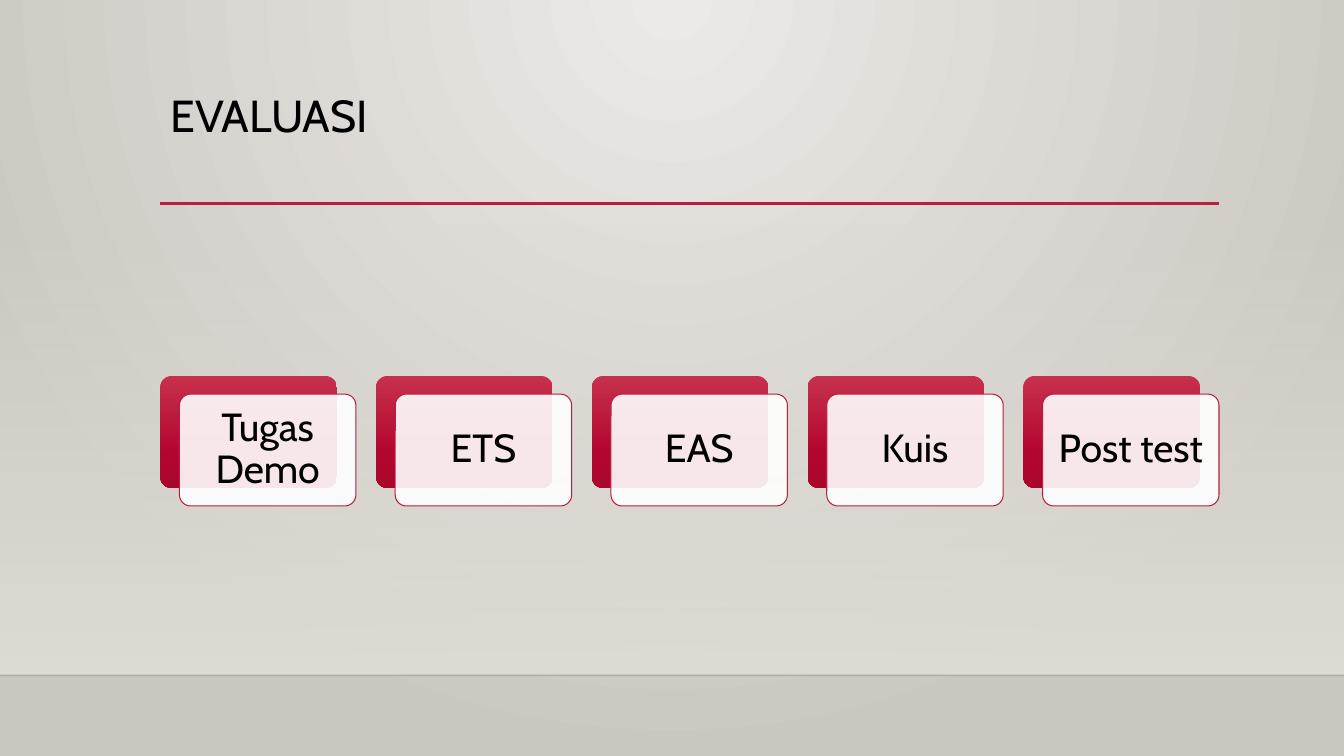
"""Build the evaluation slide: a title above a row of five layered cards."""
from dataclasses import dataclass

from lxml.etree import SubElement
from pptx import Presentation
from pptx.dml.color import RGBColor
from pptx.enum.shapes import MSO_CONNECTOR, MSO_SHAPE
from pptx.enum.text import MSO_ANCHOR, PP_ALIGN
from pptx.oxml.ns import qn
from pptx.util import Inches, Pt

FONT = "Cabin"
BLACK = RGBColor(0x00, 0x00, 0x00)
WHITE = RGBColor(0xFF, 0xFF, 0xFF)
CRIMSON = RGBColor(0xB7, 0x1E, 0x42)
CRIMSON_TOP = RGBColor(0xC7, 0x30, 0x4C)
CRIMSON_MIDDLE = RGBColor(0xB3, 0x06, 0x2F)
CRIMSON_BOTTOM = RGBColor(0xAA, 0x06, 0x2C)
WALL_LIGHT = RGBColor(0xEC, 0xEA, 0xE7)
WALL_DARK = RGBColor(0xCA, 0xC7, 0xC1)
HAZE = RGBColor(0xDF, 0xDB, 0xD5)

SLIDE_WIDTH, SLIDE_HEIGHT = 13.33, 7.5
CONTENT_LEFT, CONTENT_WIDTH = 1.59, 10.5
FLOOR_TOP = 6.7
CARD_TOP, CARD_WIDTH, CARD_HEIGHT = 3.73, 1.75, 1.11
OFFSET_X, OFFSET_Y = 0.19, 0.18
LABELS = ["Tugas Demo", "ETS", "EAS", "Kuis", "Post test"]
COLUMN_STEP = (CONTENT_WIDTH - CARD_WIDTH - OFFSET_X) / (len(LABELS) - 1)


@dataclass(frozen=True)
class Box:
    left: float
    top: float
    width: float
    height: float

    def lengths(self) -> list:
        return [Inches(value) for value in (self.left, self.top, self.width, self.height)]


@dataclass(frozen=True)
class Stop:
    position: int
    color: RGBColor
    opacity: int = 100


@dataclass(frozen=True)
class Rule:
    left: float
    right: float
    top: float
    color: RGBColor
    weight: float
    opacity: int = 100


CARD_STOPS = [Stop(0, CRIMSON_TOP), Stop(69, CRIMSON_MIDDLE), Stop(100, CRIMSON_BOTTOM)]
RULES = [
    Rule(0, SLIDE_WIDTH, FLOOR_TOP, BLACK, 1, 20),
    Rule(CONTENT_LEFT, CONTENT_LEFT + CONTENT_WIDTH, 2.02, CRIMSON, 2.5),
]


def set_opacity(solid_fill, opacity: int) -> None:
    SubElement(solid_fill[0], qn("a:alpha"), val=str(opacity * 1000))


def set_gradient(properties, stops: list[Stop], radial: bool = False) -> None:
    solid_fill = properties.find(qn("a:solidFill"))
    gradient = solid_fill.makeelement(qn("a:gradFill"), {"rotWithShape": "1"})
    stop_list = SubElement(gradient, qn("a:gsLst"))
    for stop in stops:
        entry = SubElement(stop_list, qn("a:gs"), pos=str(stop.position * 1000))
        color = SubElement(entry, qn("a:srgbClr"), val=str(stop.color))
        if stop.opacity < 100:
            SubElement(color, qn("a:alpha"), val=str(stop.opacity * 1000))
    if radial:
        focus = SubElement(gradient, qn("a:path"), path="circle")
        SubElement(focus, qn("a:fillToRect"), l="43000", t="0", r="43000", b="100000")
    else:
        SubElement(gradient, qn("a:lin"), ang="5400000", scaled="0")
    properties.replace(solid_fill, gradient)


def add_panel(slide, kind: MSO_SHAPE, box: Box, color: RGBColor):
    shape = slide.shapes.add_shape(kind, *box.lengths())
    shape.shadow.inherit = False
    shape.fill.solid()
    shape.fill.fore_color.rgb = color
    shape.line.fill.background()
    if kind == MSO_SHAPE.ROUNDED_RECTANGLE:
        shape.adjustments[0] = 0.1
    return shape


def add_rule(slide, rule: Rule) -> None:
    top = Inches(rule.top)
    connector = slide.shapes.add_connector(
        MSO_CONNECTOR.STRAIGHT, Inches(rule.left), top, Inches(rule.right), top)
    connector.line.color.rgb = rule.color
    connector.line.width = Pt(rule.weight)
    properties = connector.element.spPr
    if rule.opacity < 100:
        set_opacity(properties.find(qn("a:ln")).find(qn("a:solidFill")), rule.opacity)
    SubElement(properties, qn("a:effectLst"))


def write_text(text_frame, text: str, size: int, alignment: PP_ALIGN) -> None:
    text_frame.word_wrap = True
    text_frame.text = text
    paragraph = text_frame.paragraphs[0]
    paragraph.alignment = alignment
    paragraph.line_spacing = 0.9
    font = paragraph.runs[0].font
    font.name, font.size = FONT, Pt(size)
    font.color.rgb = BLACK


def add_card(slide, column: int, label: str) -> None:
    left = CONTENT_LEFT + column * COLUMN_STEP
    back = add_panel(slide, MSO_SHAPE.ROUNDED_RECTANGLE,
                     Box(left, CARD_TOP, CARD_WIDTH, CARD_HEIGHT), CRIMSON)
    set_gradient(back.element.spPr, CARD_STOPS)
    front = add_panel(slide, MSO_SHAPE.ROUNDED_RECTANGLE,
                      Box(left + OFFSET_X, CARD_TOP + OFFSET_Y, CARD_WIDTH, CARD_HEIGHT), WHITE)
    set_opacity(front.element.spPr.find(qn("a:solidFill")), 90)
    front.line.color.rgb = CRIMSON
    front.line.width = Pt(0.75)
    text_frame = front.text_frame
    text_frame.margin_left = text_frame.margin_right = Inches(0.12)
    text_frame.margin_top = text_frame.margin_bottom = Inches(0.12)
    text_frame.vertical_anchor = MSO_ANCHOR.MIDDLE
    write_text(text_frame, label, 28, PP_ALIGN.CENTER)


def main() -> None:
    presentation = Presentation()
    presentation.slide_width = Inches(SLIDE_WIDTH)
    presentation.slide_height = Inches(SLIDE_HEIGHT)
    slide = presentation.slides.add_slide(presentation.slide_layouts[6])

    slide.background.fill.solid()
    slide.background.fill.fore_color.rgb = WALL_LIGHT
    background = next(slide.element.iter(qn("p:bgPr")))
    set_gradient(background, [Stop(0, WALL_LIGHT), Stop(100, WALL_DARK)], radial=True)

    haze = add_panel(slide, MSO_SHAPE.RECTANGLE, Box(0, 2.21, SLIDE_WIDTH, FLOOR_TOP - 2.21), HAZE)
    set_gradient(haze.element.spPr, [Stop(0, HAZE, 0), Stop(100, HAZE)])
    for rule in RULES:
        add_rule(slide, rule)

    title = slide.shapes.add_textbox(*Box(CONTENT_LEFT, 0.88, CONTENT_WIDTH, 1.15).lengths())
    write_text(title.text_frame, "EVALUASI", 32, PP_ALIGN.LEFT)
    for column, label in enumerate(LABELS):
        add_card(slide, column, label)

    presentation.save("out.pptx")


if __name__ == "__main__":
    main()
